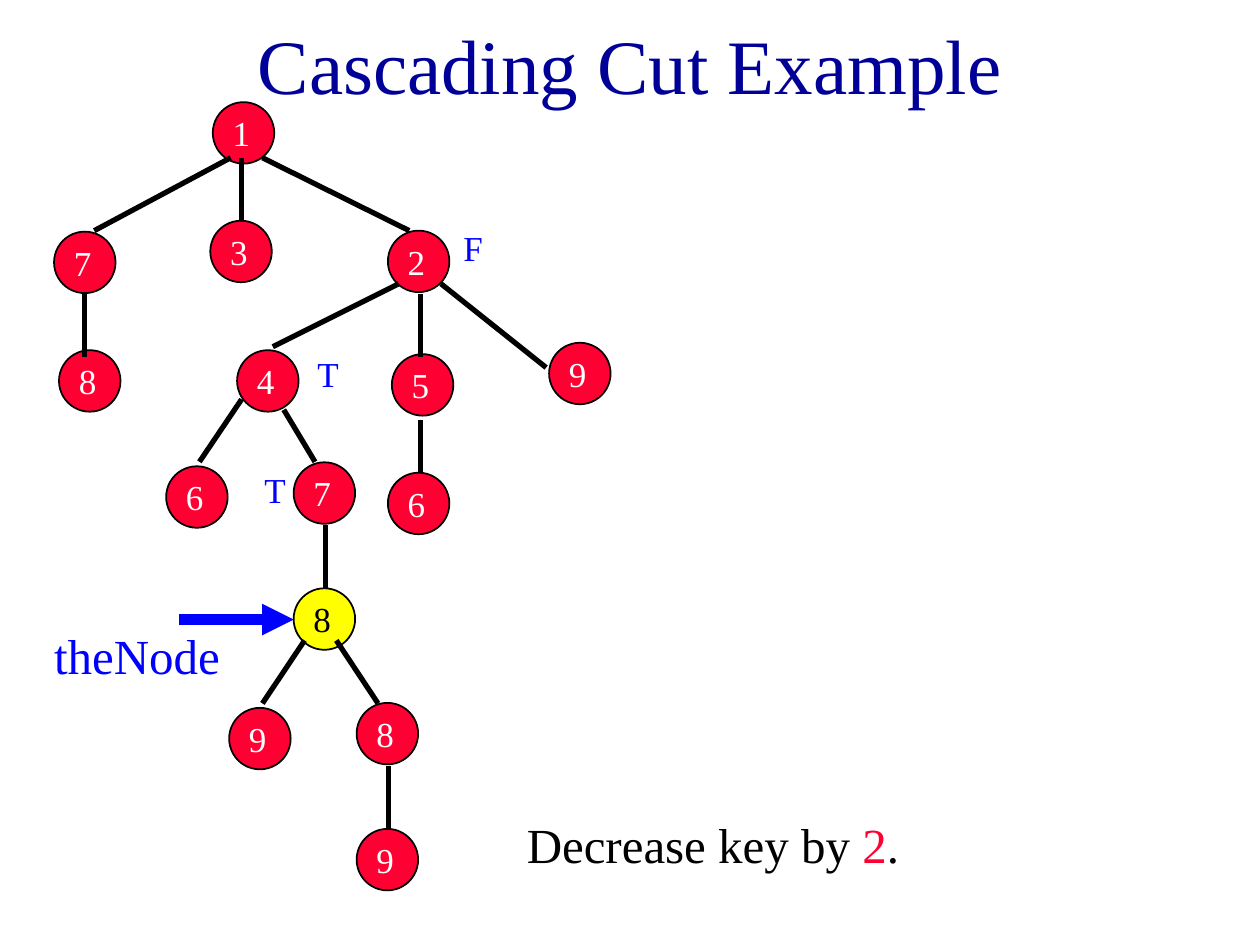
from lxml import etree
from pptx import Presentation
from pptx.dml.color import RGBColor
from pptx.enum.shapes import MSO_CONNECTOR, MSO_SHAPE
from pptx.enum.text import MSO_ANCHOR, PP_ALIGN
from pptx.oxml.ns import qn
from pptx.util import Cm, Pt

LINE, OVAL = MSO_CONNECTOR.STRAIGHT, MSO_SHAPE.OVAL
TOP, MIDDLE = MSO_ANCHOR.TOP, MSO_ANCHOR.MIDDLE
LEFT, CENTER = PP_ALIGN.LEFT, PP_ALIGN.CENTER
NAVY = RGBColor(0x00, 0x00, 0x99)
BLUE = RGBColor(0x00, 0x00, 0xFF)
RED = RGBColor(0xFF, 0x00, 0x33)
YELLOW = RGBColor(0xFF, 0xFF, 0x00)
BLACK = RGBColor(0x00, 0x00, 0x00)
WHITE = RGBColor(0xFF, 0xFF, 0xFF)
FONT = "Times New Roman"
DIAMETER = 1.24

# Key, left and top of each red node, in cm within the tree
NODES = [
    ("1", 3.45, 0), ("7", 0.25, 2.61), ("3", 3.4, 2.39), ("8", 0.35, 5),
    ("2", 6.98, 2.59), ("5", 7.06, 5.08), ("9", 10.23, 4.85), ("6", 6.98, 7.47),
    ("4", 3.94, 5), ("6", 2.51, 7.34), ("7", 5.08, 7.26),
    ("9", 3.78, 12.21), ("8", 6.35, 12.11), ("9", 6.35, 14.65),
]
THE_NODE = ("8", 5.08, 9.8)
# Parent end and child end of each edge
EDGES = [
    (3.81, 1.12, 1.06, 2.59), (4.03, 1.12, 4.03, 2.39), (4.45, 1.12, 7.41, 2.59),
    (0.86, 3.86, 0.86, 5.13), (7.2, 3.66, 4.66, 4.93), (7.63, 3.86, 7.63, 5.13),
    (8.05, 3.66, 10.17, 5.35), (4.03, 5.99, 3.18, 7.25), (4.88, 6.2, 5.51, 7.25),
    (7.63, 6.41, 7.63, 7.47), (5.72, 8.52, 5.72, 9.79), (5.3, 10.85, 4.45, 12.12),
    (5.94, 10.85, 6.78, 12.12), (6.99, 13.39, 6.99, 14.65),
]
CHILD_CUT_MARKS = [("T", 4.24, 7.26), ("T", 5.31, 4.93), ("F", 8.25, 2.39)]


def add_text(slide, x, y, w, h, runs, size, align=LEFT, anchor=TOP):
    """Add one line of text; runs are (text, colour) pairs."""
    tf = slide.shapes.add_textbox(Cm(x), Cm(y), Cm(w), Cm(h)).text_frame
    tf.word_wrap = True
    tf.vertical_anchor = anchor
    p = tf.paragraphs[0]
    p.alignment = align
    for text, colour in runs:
        r = p.add_run()
        r.text = text
        r.font.name = FONT
        r.font.size = Pt(size)
        r.font.color.rgb = colour


def add_node(slide, x, y, key, fill, colour):
    s = slide.shapes.add_shape(OVAL, Cm(x), Cm(y), Cm(DIAMETER), Cm(DIAMETER))
    s.shadow.inherit = False
    s.fill.solid()
    s.fill.fore_color.rgb = fill
    s.line.color.rgb = BLACK
    s.line.width = Pt(1)
    add_text(slide, x + 0.15, y + 0.07, 0.86, 1.09, [(key, colour)], 20)


def add_line(slide, x1, y1, x2, y2, colour, width):
    s = slide.shapes.add_connector(LINE, Cm(x1), Cm(y1), Cm(x2), Cm(y2))
    s.line.color.rgb = colour
    s.line.width = Pt(width)
    etree.SubElement(s._element.spPr, qn("a:effectLst"))
    return s


def add_pointer(slide, x, y):
    """Add the arrow to the changed node, with its label."""
    s = add_line(slide, x + 5.08, y, x + 2.76, y, BLUE, 6)
    etree.SubElement(s.line._get_or_add_ln(), qn("a:headEnd"), type="triangle")
    add_text(slide, x, y, 4.01, 1.45, [("theNode", BLUE)], 28)


def add_tree(slide, x, y):
    for key, dx, dy in NODES:
        add_node(slide, x + dx, y + dy, key, RED, WHITE)
    key, dx, dy = THE_NODE
    add_node(slide, x + dx, y + dy, key, YELLOW, BLACK)
    for x1, y1, x2, y2 in EDGES:
        add_line(slide, x + x1, y + y1, x + x2, y + y2, BLACK, 3)
    for mark, dx, dy in CHILD_CUT_MARKS:
        add_text(slide, x + dx, y + dy, 0.84, 1.12, [(mark, BLUE)], 20)
    add_pointer(slide, x, y + 10.43)


def main():
    prs = Presentation()
    prs.slide_width, prs.slide_height = Cm(25.4), Cm(19.05)
    slide = prs.slides.add_slide(prs.slide_layouts[6])
    add_text(slide, 1.91, 0.43, 21.59, 1.7, [("Cascading Cut Example", NAVY)],
             44, CENTER, MIDDLE)
    add_tree(slide, 0.84, 2.06)
    add_text(slide, 10.37, 16.3, 13.55, 1.45,
             [("Decrease key by ", BLACK), ("2", RED), (".", BLACK)], 28)
    prs.save("out.pptx")


if __name__ == "__main__":
    main()
